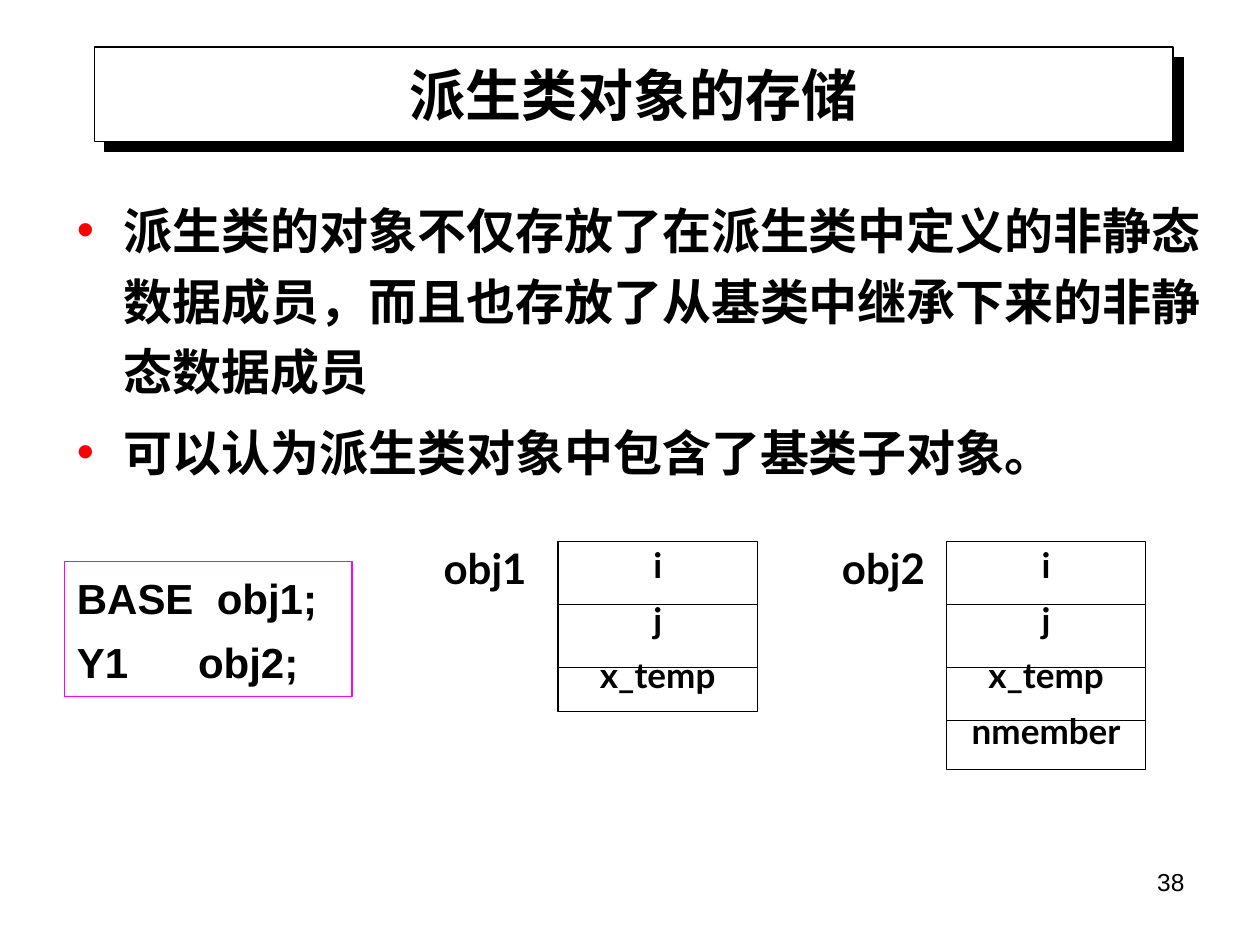
from dataclasses import dataclass
from typing import Optional

from lxml.etree import SubElement
from pptx import Presentation
from pptx.dml.color import RGBColor
from pptx.enum.shapes import MSO_CONNECTOR as Connector, MSO_SHAPE as Shape
from pptx.enum.text import MSO_ANCHOR as Anchor, MSO_AUTO_SIZE as AutoSize, PP_ALIGN as Align
from pptx.oxml.ns import qn
from pptx.util import Cm, Pt


@dataclass(frozen=True)
class Theme:
    ink: str = "000000"
    paper: str = "FFFFFF"
    bullet: str = "FF0000"
    code_frame: str = "FF00FF"
    chinese: str = "Noto Sans CJK SC"
    label: str = "Lato"
    code: str = "Arial"
    title_size: float = 32
    body_size: float = 28
    label_size: float = 24
    member_size: float = 20
    number_size: float = 14
    line_width: float = 0.75


THEME = Theme()


@dataclass(frozen=True)
class Style:
    font: str
    size: float
    bold: bool = True
    align: Align = Align.LEFT
    spacing: float = 1.0
    gap: float = 0
    bullet: bool = False


TITLE = Style(THEME.chinese, THEME.title_size, align=Align.CENTER)
BODY = Style(THEME.chinese, THEME.body_size, spacing=1.2, gap=5.6, bullet=True)
LABEL = Style(THEME.label, THEME.label_size, align=Align.CENTER, spacing=0.9)
MEMBER = Style(THEME.label, THEME.member_size, align=Align.CENTER, spacing=0.9, gap=10)
CODE = Style(THEME.code, THEME.label_size, spacing=1.1, gap=4.8)
NUMBER = Style(THEME.code, THEME.number_size, bold=False, align=Align.RIGHT)


@dataclass(frozen=True)
class Area:
    """Left, top, width and height in centimetres."""
    left: float
    top: float
    width: float
    height: float

    def lengths(self) -> tuple:
        return Cm(self.left), Cm(self.top), Cm(self.width), Cm(self.height)


@dataclass(frozen=True)
class StoredObject:
    name: str
    label_left: float
    left: float
    height: float
    members: tuple
    dividers: tuple


TOP = 10.92
CELL_WIDTH = 4.02
OBJECTS = (
    StoredObject("obj1", 8.51, 11.25, 3.43, ("i", "j", "x_temp"), (12.19, 13.46)),
    StoredObject("obj2", 16.54, 19.08, 4.6, ("i", "j", "x_temp", "nmember"),
                 (12.19, 13.46, 14.53)),
)


def color(value: str) -> RGBColor:
    return RGBColor.from_string(value)


def add_bullet(para) -> None:
    """Give the paragraph a coloured bullet with a hanging indent."""
    properties = para._p.get_or_add_pPr()
    properties.set("marL", str(Cm(0.95)))
    properties.set("indent", str(-Cm(0.95)))
    tint = SubElement(properties, qn("a:buClr"))
    SubElement(tint, qn("a:srgbClr"), val=THEME.bullet)
    SubElement(properties, qn("a:buFont"), typeface="Arial")
    SubElement(properties, qn("a:buChar"), char="•")


def write(box, lines: tuple, style: Style, anchor: Anchor = Anchor.TOP) -> None:
    frame = box.text_frame
    frame.word_wrap = True
    frame.auto_size = AutoSize.NONE
    frame.vertical_anchor = anchor
    for index, line in enumerate(lines):
        para = frame.paragraphs[0] if index == 0 else frame.add_paragraph()
        para.alignment = style.align
        para.line_spacing = style.spacing
        para.space_before = Pt(style.gap if index else 0)
        if style.bullet:
            add_bullet(para)
        span = para.add_run()
        span.text = line
        span.font.name = style.font
        span.font.size = Pt(style.size)
        span.font.bold = style.bold
        span.font.color.rgb = color(THEME.ink)
        SubElement(span.font._element, qn("a:ea"), typeface=style.font)


def add_text(page, area: Area, lines: tuple, style: Style) -> None:
    write(page.shapes.add_textbox(*area.lengths()), lines, style)


def add_frame(page, area: Area, line: str, fill: Optional[str] = None):
    box = page.shapes.add_shape(Shape.RECTANGLE, *area.lengths())
    box.shadow.inherit = False
    if fill:
        box.fill.solid()
        box.fill.fore_color.rgb = color(fill)
    else:
        box.fill.background()
    box.line.color.rgb = color(line)
    box.line.width = Pt(THEME.line_width)
    return box


def add_hard_shadow(box) -> None:
    effects = box._element.spPr.find(qn("a:effectLst"))
    shadow = SubElement(effects, qn("a:outerShdw"), dist=str(Pt(8.5)),
                        dir=str(45 * 60000), algn="ctr", rotWithShape="0")
    SubElement(shadow, qn("a:srgbClr"), val=THEME.ink)


def add_divider(page, left: float, top: float) -> None:
    line = page.shapes.add_connector(Connector.STRAIGHT, Cm(left), Cm(top),
                                     Cm(left + CELL_WIDTH), Cm(top))
    line.line.color.rgb = color(THEME.ink)
    line.line.width = Pt(THEME.line_width)
    SubElement(line._element.spPr, qn("a:effectLst"))


def add_stored_object(page, stored: StoredObject) -> None:
    """Draw an object's name beside its memory cells."""
    add_text(page, Area(stored.label_left, TOP, 2.54, 1.17), (stored.name,), LABEL)
    cells = add_frame(page, Area(stored.left, TOP, CELL_WIDTH, stored.height), THEME.ink)
    write(cells, stored.members, MEMBER)
    for top in stored.dividers:
        add_divider(page, stored.left, top)


def main() -> None:
    deck = Presentation()
    deck.slide_width, deck.slide_height = Cm(25.4), Cm(19.05)
    page = deck.slides.add_slide(deck.slide_layouts[6])

    title = add_frame(page, Area(1.9, 0.95, 21.75, 1.9), THEME.ink, THEME.paper)
    add_hard_shadow(title)
    write(title, ("派生类对象的存储",), TITLE, Anchor.MIDDLE)

    add_text(page, Area(18.2, 17.35, 5.93, 1.32), ("38",), NUMBER)
    add_text(page, Area(1.3, 3.68, 23.4, 11.43), (
        "派生类的对象不仅存放了在派生类中定义的非静态数据成员，而且也存放了从基类中继承下来的非静态数据成员",
        "可以认为派生类对象中包含了基类子对象。",
    ), BODY)

    for stored in OBJECTS:
        add_stored_object(page, stored)

    code = add_frame(page, Area(1.3, 11.32, 5.8, 2.72), THEME.code_frame)
    write(code, ("BASE  obj1;", "Y1      obj2;"), CODE)

    deck.save("out.pptx")


if __name__ == "__main__":
    main()
